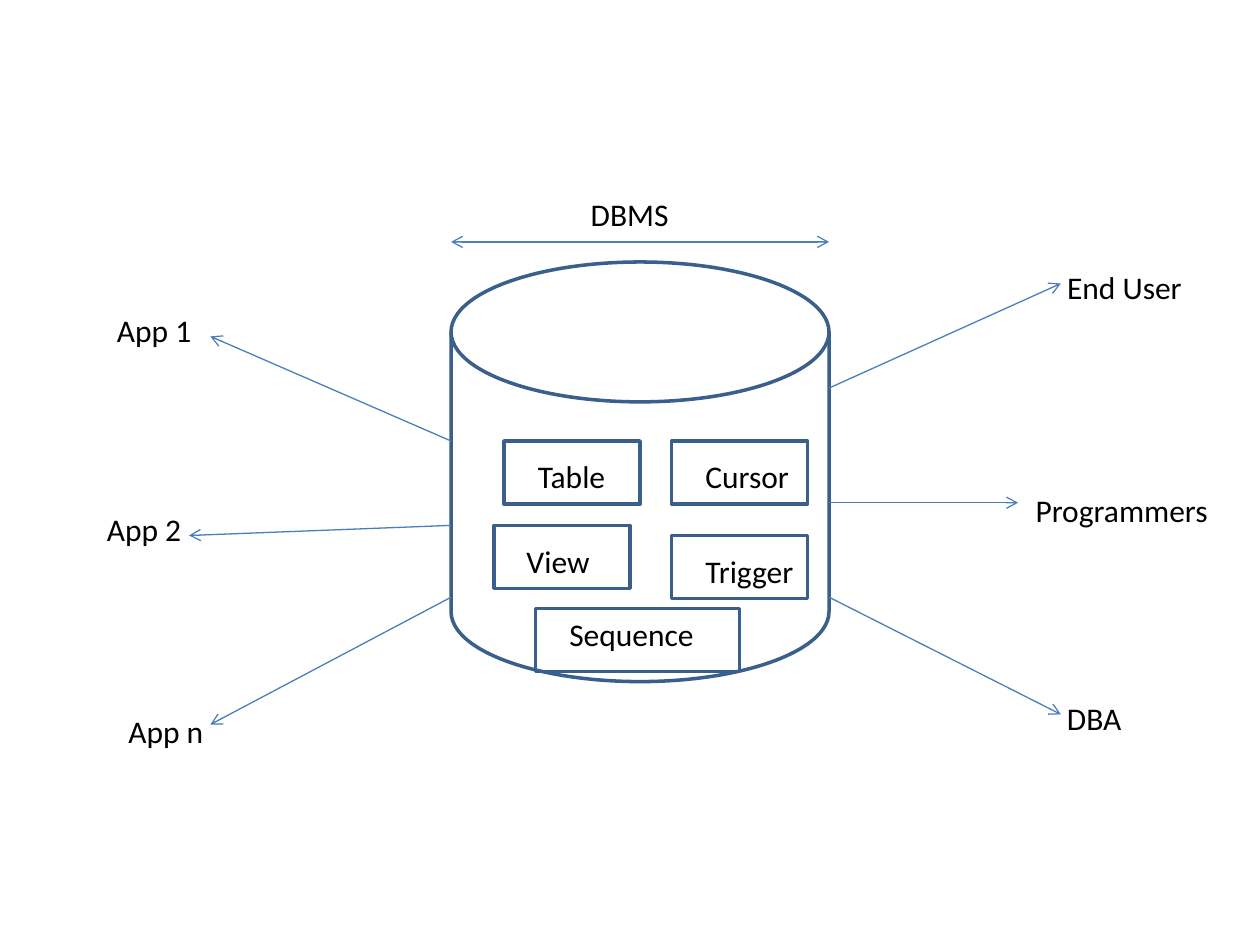
from pptx import Presentation
from pptx.dml.color import RGBColor
from pptx.enum.shapes import MSO_CONNECTOR, MSO_SHAPE
from pptx.enum.text import MSO_AUTO_SIZE
from pptx.oxml.ns import qn
from pptx.util import Inches, Pt
from lxml import etree

DISK = MSO_SHAPE.FLOWCHART_MAGNETIC_DISK
RECTANGLE = MSO_SHAPE.RECTANGLE
STRAIGHT = MSO_CONNECTOR.STRAIGHT
FIT_SHAPE = MSO_AUTO_SIZE.SHAPE_TO_FIT_TEXT
OUTLINE, ARROW, INK = "3A5F8C", "4B7EBC", "000000"
FONT = "Calibri"

# Disk edges: left, top, width, height
DISK_LEFT, DISK_TOP, DISK_WIDTH, DISK_HEIGHT = 3.58, 2.08, 3, 3.33
DISK_RIGHT = DISK_LEFT + DISK_WIDTH
LABEL_HEIGHT = 0.4
OBJECT_HEIGHT = 0.5

# Database objects: name, box left, top, width, label offset x, y, label width, wrap
OBJECTS = [
    ("Table", 4, 3.5, 1.08, 0.17, 0.08, 0.74, False),
    ("View", 3.92, 4.17, 1.08, 0.16, 0.08, 0.71, False),
    ("Cursor", 5.33, 3.5, 1.08, 0.17, 0.08, 0.87, False),
    ("Trigger", 5.33, 4.25, 1.08, 0.17, 0.08, 0.91, False),
    ("Sequence", 4.25, 4.83, 1.62, 0.17, 0, 1.46, True),
]

# Clients: name, label left, top, width, disk edge, arrow start y, arrow end x, y
CLIENTS = [
    ("App 1", 0.83, 2.42, 0.8, DISK_LEFT, 3.5, 1.67, 2.67),
    ("App 2", 0.75, 4, 0.8, DISK_LEFT, 4.17, 1.5, 4.25),
    ("App n", 0.92, 5.6, 0.81, DISK_LEFT, 4.74, 1.67, 5.75),
    ("End User", 8.37, 2.08, 1.12, DISK_RIGHT, 3.08, 8.42, 2.25),
    ("Programmers", 8.12, 3.85, 1.58, DISK_RIGHT, 3.99, 8.08, 3.99),
    ("DBA", 8.37, 5.5, 0.64, DISK_RIGHT, 4.74, 8.42, 5.67),
]


def color(value):
    return RGBColor.from_string(value)


def add_outline(page, kind, left, top, width, height):
    shape = page.shapes.add_shape(
        kind, Inches(left), Inches(top), Inches(width), Inches(height))
    shape.shadow.inherit = False
    shape.fill.background()
    shape.line.color.rgb = color(OUTLINE)
    shape.line.width = Pt(2)


def add_label(page, text, left, top, width, wrap=False):
    box = page.shapes.add_textbox(
        Inches(left), Inches(top), Inches(width), Inches(LABEL_HEIGHT))
    frame = box.text_frame
    frame.text = text
    frame.word_wrap = wrap
    frame.auto_size = FIT_SHAPE
    font = frame.paragraphs[0].runs[0].font
    font.name, font.size = FONT, Pt(18)
    font.color.rgb = color(INK)


def add_arrow(page, start_x, start_y, end_x, end_y, ends=("tailEnd",)):
    arrow = page.shapes.add_connector(
        STRAIGHT, Inches(start_x), Inches(start_y), Inches(end_x), Inches(end_y))
    arrow.line.color.rgb = color(ARROW)
    arrow.line.width = Pt(0.75)
    properties = arrow._element.spPr
    line = properties.find(qn("a:ln"))
    for end in ends:
        etree.SubElement(line, qn(f"a:{end}"), type="arrow")
    etree.SubElement(properties, qn("a:effectLst"))


deck = Presentation()
deck.slide_width, deck.slide_height = Inches(10), Inches(7.5)
page = deck.slides.add_slide(deck.slide_layouts[6])

# Database disk and the objects it holds
add_outline(page, DISK, DISK_LEFT, DISK_TOP, DISK_WIDTH, DISK_HEIGHT)
for name, left, top, width, dx, dy, label_width, wrap in OBJECTS:
    add_outline(page, RECTANGLE, left, top, width, OBJECT_HEIGHT)
    add_label(page, name, left + dx, top + dy, label_width, wrap)

# Applications on the left, people on the right
for name, left, top, width, edge, start_y, end_x, end_y in CLIENTS:
    add_arrow(page, edge, start_y, end_x, end_y)
    add_label(page, name, left, top, width)

# Span above the disk
add_arrow(page, DISK_LEFT, 1.92, DISK_RIGHT, 1.92, ("headEnd", "tailEnd"))
add_label(page, "DBMS", 4.59, 1.5, 0.83)

deck.save("out.pptx")
